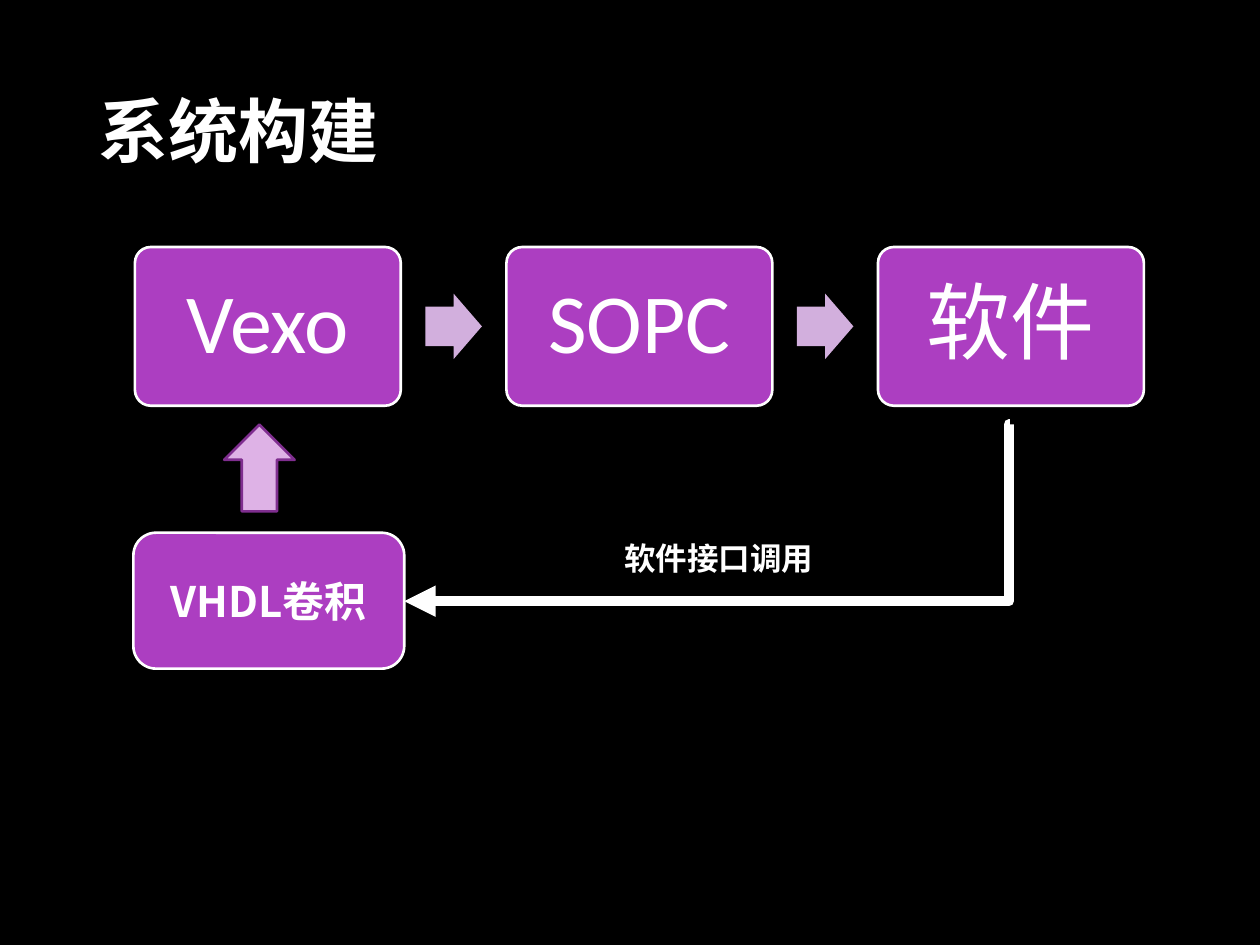
"""Build the system construction slide: a three-step flow with a feedback call."""
import pptx
import pptx.util
import pptx.dml.color
import pptx.enum.shapes
import pptx.enum.text
import pptx.oxml.ns
import lxml.etree

Cm, Pt = pptx.util.Cm, pptx.util.Pt
SHAPE = pptx.enum.shapes.MSO_SHAPE
ALIGN = pptx.enum.text.PP_ALIGN
qn = pptx.oxml.ns.qn

THEME = {
    "back": "000000", "text": "FFFFFF", "box": "AC3EC1", "edge": "FFFFFF",
    "step_arrow": "D2AFDD", "up_arrow": "DEB2E6", "up_edge": "7F2E8F",
    "latin": "Calibri", "cjk": "Noto Sans CJK SC",
    "title": 40, "step": 48, "module": 24, "label": 18, "thin": 1.5, "thick": 6,
}

TITLE = ("系统构建", (0.91, 1.65, 7.8, 1.96))
STEPS = ["Vexo", "SOPC", "软件"]
MODULE = ("VHDL卷积", (2.69, 10.74, 5.46, 2.74))
LABEL = ("软件接口调用", (12.34, 10.74, 4.52, 1.02))
UP_ARROW = (4.52, 8.56, 1.42, 1.75)
CALL_LINE = (20.35, 8.56, 8.15, 12.12)
STEP_LEFT, STEP_TOP, STEP_W, STEP_H, PITCH = 2.72, 4.98, 5.36, 3.2, 7.49
ARROW_W, ARROW_H = 1.14, 1.32


def color(name):
    return pptx.dml.color.RGBColor.from_string(THEME[name])


def add_text(tf, text, size, font="cjk", bold=True, align=ALIGN.CENTER):
    p = tf.paragraphs[0]
    p.alignment = align
    r = p.add_run()
    r.text = text
    r.font.size = Pt(THEME[size])
    r.font.bold = bold
    r.font.name = THEME[font]
    r.font.color.rgb = color("text")
    ea = lxml.etree.SubElement(r._r.get_or_add_rPr(), qn("a:ea"))
    ea.set("typeface", THEME["cjk"])
    return p


def add_label(s, text, box, size, align):
    tf = s.shapes.add_textbox(*map(Cm, box)).text_frame
    tf.word_wrap = True
    add_text(tf, text, size, align=align)


def add_block(s, kind, box, fill, edge=None, adj=()):
    sp = s.shapes.add_shape(kind, *map(Cm, box))
    sp.shadow.inherit = False
    sp.fill.solid()
    sp.fill.fore_color.rgb = color(fill)
    if edge:
        sp.line.color.rgb = color(edge)
        sp.line.width = Pt(THEME["thin"])
    else:
        sp.line.fill.background()
    for i, value in enumerate(adj):
        sp.adjustments[i] = value
    sp.text_frame.vertical_anchor = pptx.enum.text.MSO_ANCHOR.MIDDLE
    return sp


def add_steps(s):
    gap = PITCH - STEP_W
    for i, name in enumerate(STEPS):
        left = STEP_LEFT + i * PITCH
        sp = add_block(s, SHAPE.ROUNDED_RECTANGLE, (left, STEP_TOP, STEP_W, STEP_H),
                       "box", "edge", (0.1,))
        p = add_text(sp.text_frame, name, "step", "latin", False)
        p.line_spacing = 0.9
        if i < len(STEPS) - 1:
            arrow = (left + STEP_W + (gap - ARROW_W) / 2,
                     STEP_TOP + (STEP_H - ARROW_H) / 2, ARROW_W, ARROW_H)
            add_block(s, SHAPE.RIGHT_ARROW, arrow, "step_arrow", adj=(0.6, 0.5))


def add_call_line(s):
    elbow = pptx.enum.shapes.MSO_CONNECTOR.ELBOW
    sp = s.shapes.add_connector(elbow, *map(Cm, CALL_LINE))
    sp.line.color.rgb = color("edge")
    sp.line.width = Pt(THEME["thick"])
    ln = sp.line._get_or_add_ln()
    lxml.etree.SubElement(ln, qn("a:round"))
    lxml.etree.SubElement(ln, qn("a:tailEnd")).set("type", "triangle")
    pr = sp._element.spPr
    lxml.etree.SubElement(pr, qn("a:effectLst"))
    guides = pr.find(qn("a:prstGeom")).get_or_add_avLst()
    guide = lxml.etree.SubElement(guides, qn("a:gd"))
    guide.set("name", "adj1")
    guide.set("fmla", "val 100")


def main():
    prs = pptx.Presentation()
    prs.slide_width, prs.slide_height = Cm(25.4), Cm(19.05)
    s = prs.slides.add_slide(prs.slide_layouts[6])
    s.background.fill.solid()
    s.background.fill.fore_color.rgb = color("back")
    add_label(s, *TITLE, "title", ALIGN.CENTER)
    add_steps(s)
    text, box = MODULE
    sp = add_block(s, SHAPE.ROUNDED_RECTANGLE, box, "box", "edge")
    add_text(sp.text_frame, text, "module")
    add_block(s, SHAPE.UP_ARROW, UP_ARROW, "up_arrow", "up_edge")
    add_call_line(s)
    add_label(s, *LABEL, "label", ALIGN.LEFT)
    prs.save("out.pptx")


if __name__ == "__main__":
    main()
